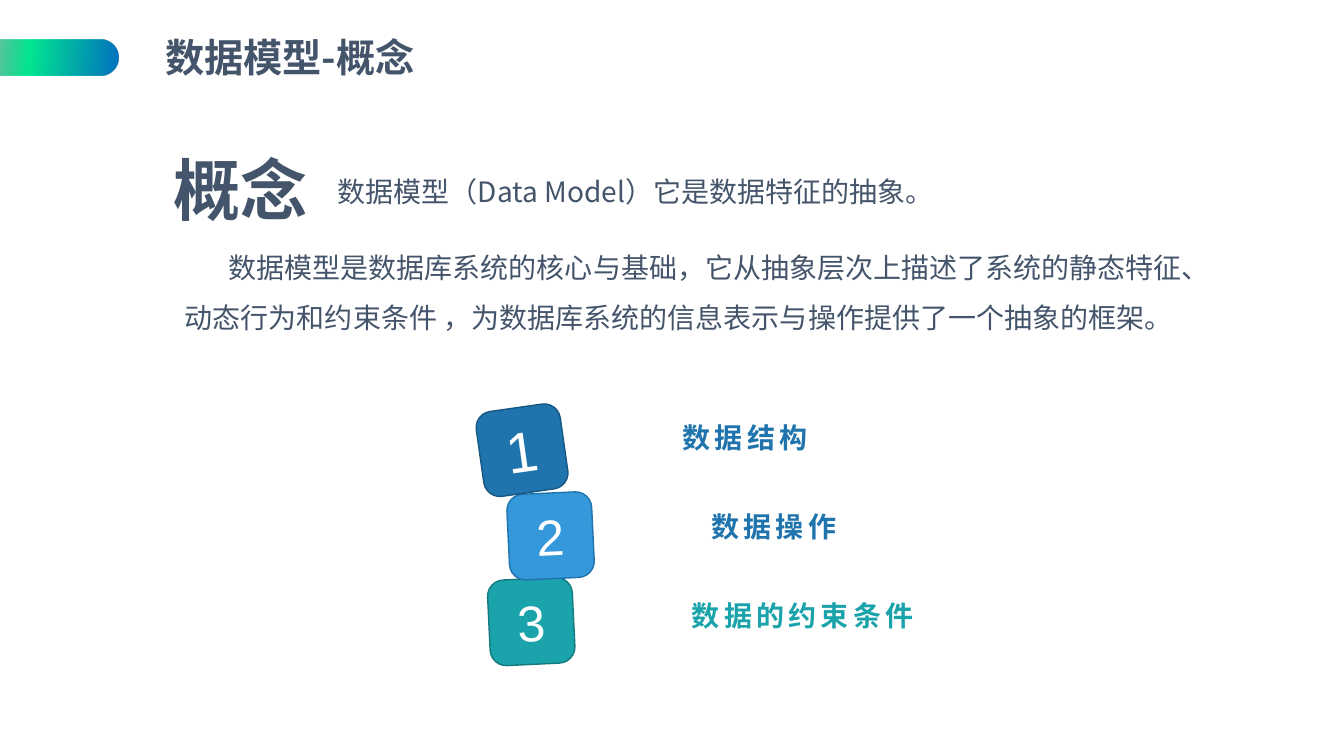
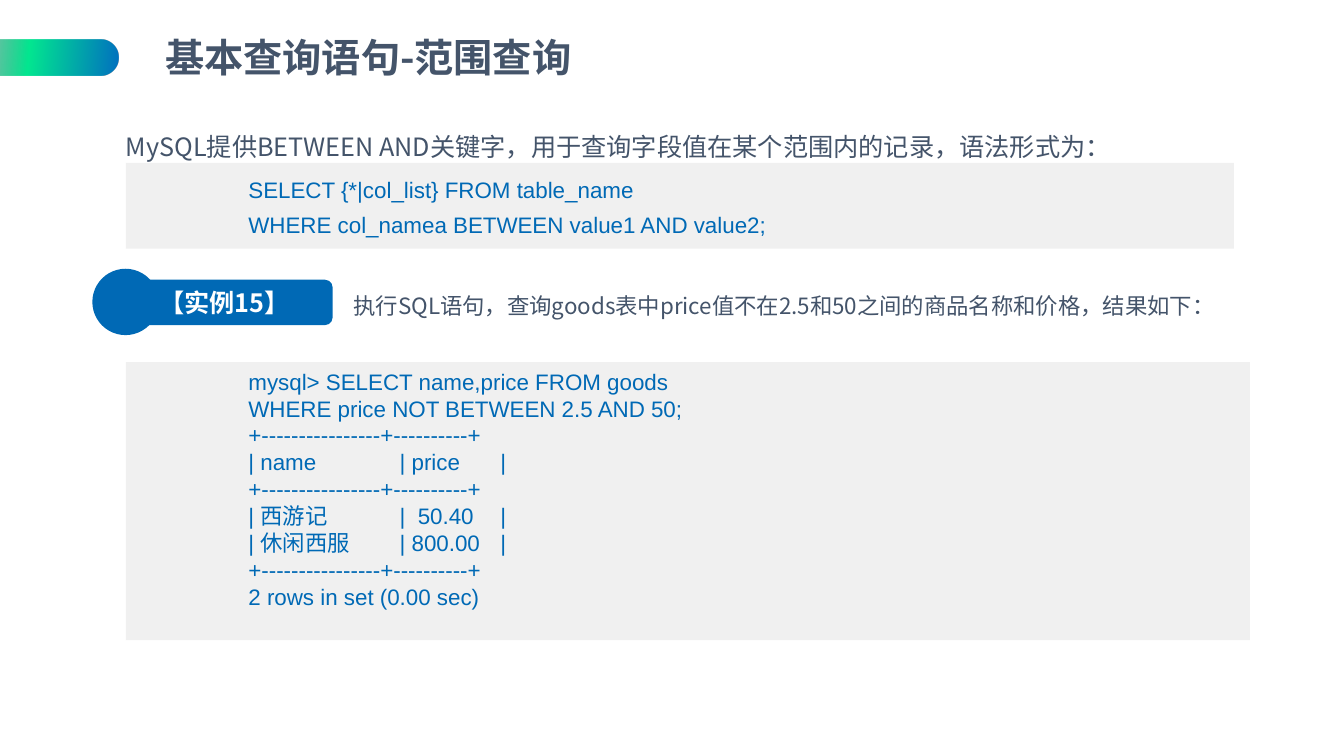
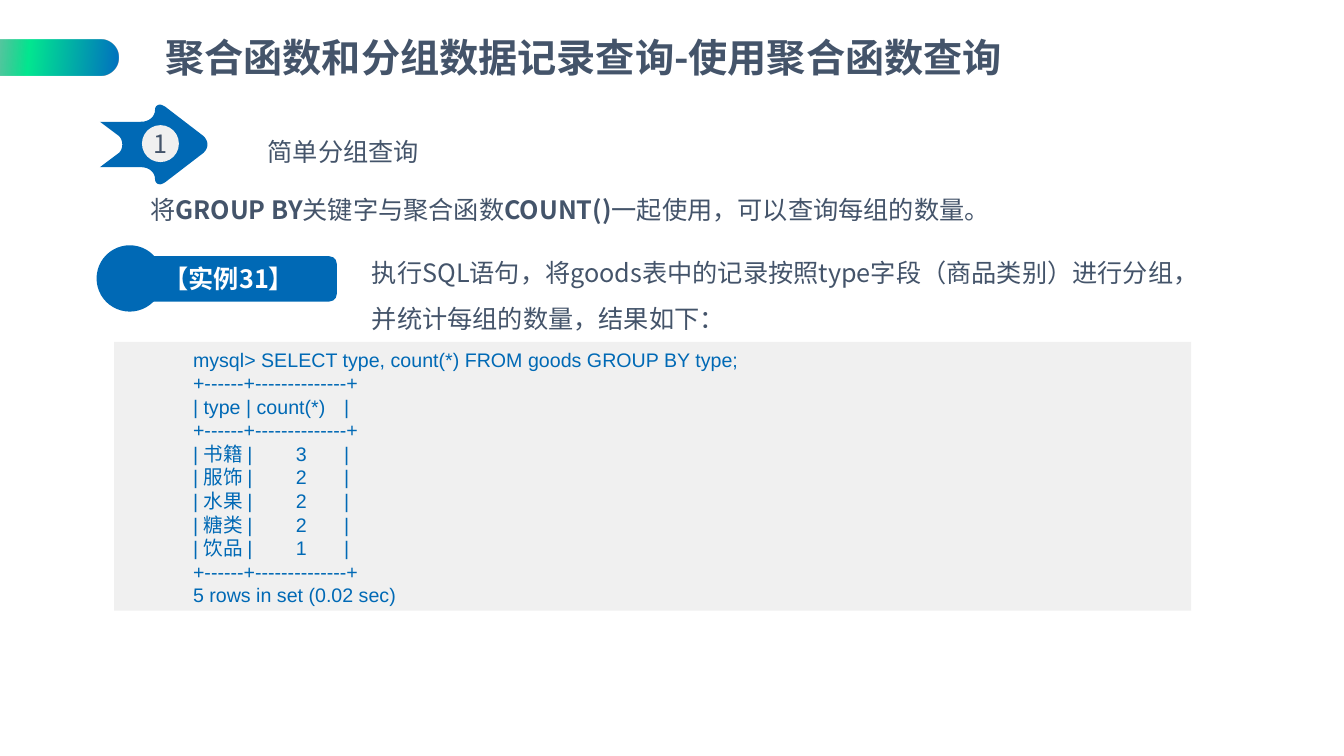
from lxml import etree
from pptx import Presentation
from pptx.dml.color import RGBColor
from pptx.enum.shapes import MSO_SHAPE
from pptx.enum.text import MSO_ANCHOR, MSO_AUTO_SIZE, PP_ALIGN
from pptx.oxml import parse_xml
from pptx.oxml.ns import nsdecls, qn
from pptx.util import Inches, Pt

RECT, ROUND, OVAL = MSO_SHAPE.RECTANGLE, MSO_SHAPE.ROUNDED_RECTANGLE, MSO_SHAPE.OVAL
TOP, MID, LOW = MSO_ANCHOR.TOP, MSO_ANCHOR.MIDDLE, MSO_ANCHOR.BOTTOM
LEFT, CENTER, JUST = PP_ALIGN.LEFT, PP_ALIGN.CENTER, PP_ALIGN.JUSTIFY
FIT, FIXED = MSO_AUTO_SIZE.SHAPE_TO_FIT_TEXT, MSO_AUTO_SIZE.NONE

COLS, ROWS = 160, 90
UNIT = Inches(7.5) / ROWS
SANS, CODE = "Noto Sans CJK SC", "Arial"
INK, BLUE, PALE, WHITE = "44546A", "0069B5", "F0F0F0", "FFFFFF"
PAD = (1.2, 0.6, 1.2, 0.6)
TIGHT = (0, 1, 1.2, 1)
FADE = [(0, "272D3D", 0), (52, "03E790", 100), (100, "0070C0", 100)]

# Upper half of the arrow, from its notch to its tip, around its middle line
NOTCH = (3.06, 0)
HALF = [
    [(3.06, -0.4), (2.9, -0.8), (2.64, -1.02)],
    [(0.4, -2.7)],
    [(5.28, -2.7)],
    [(6.24, -2.7), (6.96, -3.3), (6.96, -4.14)],
    [(6.96, -4.5), (7.2, -4.74), (7.56, -4.74)],
    [(7.7, -4.74), (7.9, -4.65), (8.16, -4.5)],
    [(12.7, -1.02)],
    [(13, -0.75), (13.2, -0.36), (13.2, 0)],
]


def color(code):
    return RGBColor.from_string(code)


def grid(*cells):
    """Turn grid units into slide lengths."""
    return [round(cell * UNIT) for cell in cells]


def trace(start, parts, steps=8):
    """List the points along lines and cubic curves."""
    dots = [start]
    for part in parts:
        if len(part) == 1:
            dots += part
            continue
        ends = [dots[-1]] + part
        for step in range(1, steps + 1):
            t = step / steps
            mix = ((1 - t) ** 3, 3 * t * (1 - t) ** 2, 3 * t * t * (1 - t), t ** 3)
            dots.append(tuple(sum(m * e[axis] for m, e in zip(mix, ends))
                              for axis in (0, 1)))
    return dots


class Deck:
    """Holds the shared style and the current slide."""

    def __init__(self):
        self.prs = Presentation()
        self.prs.slide_width, self.prs.slide_height = grid(COLS, ROWS)

    def page(self, title):
        self.slide = self.prs.slides.add_slide(self.prs.slide_layouts[6])
        self.pill()
        self.text((18.5, 4, 110, 6.2), [title], 28, bold=True, anchor=MID, lead=0.9)

    def pill(self):
        pill = self.shape(ROUND, (-8.2, 4.7, 22.3, 4.3), None, turn=0.5)
        stops = "".join(
            f'<a:gs pos="{pos * 1000}"><a:srgbClr val="{tone}">'
            f'<a:alpha val="{alpha * 1000}"/></a:srgbClr></a:gs>'
            for pos, tone, alpha in FADE)
        fade = parse_xml(f'<a:gradFill {nsdecls("a")} rotWithShape="1"><a:gsLst>{stops}'
                         '</a:gsLst><a:lin ang="300000" scaled="0"/></a:gradFill>')
        props = pill.element.spPr
        props.replace(props.find(qn("a:noFill")), fade)

    def paint(self, shape, fill, line=None):
        shape.shadow.inherit = False
        if fill:
            shape.fill.solid()
            shape.fill.fore_color.rgb = color(fill)
        else:
            shape.fill.background()
        if line:
            shape.line.color.rgb = color(line)
            shape.line.width = Pt(1)
        else:
            shape.line.fill.background()

    def shape(self, kind, box, fill, line=None, turn=None):
        shape = self.slide.shapes.add_shape(kind, *grid(*box))
        if turn is not None:
            shape.adjustments[0] = turn
        self.paint(shape, fill, line)
        return shape

    def put(self, frame, lines, size, tone=INK, font=SANS, bold=False, align=LEFT,
            anchor=TOP, lead=None, pad=PAD, indent=0, gap=0):
        """Fill a frame; in a line given as a list, every second run is bold."""
        frame.word_wrap = True
        frame.vertical_anchor = anchor
        (frame.margin_left, frame.margin_top,
         frame.margin_right, frame.margin_bottom) = grid(*pad)
        for i, line in enumerate(lines):
            para = frame.add_paragraph() if i else frame.paragraphs[0]
            para.alignment = align
            if lead:
                para.line_spacing = lead
            if indent:
                props = para._p.get_or_add_pPr()
                props.set("marL", "0")
                props.set("indent", str(grid(indent)[0]))
            for j, words in enumerate([line] if isinstance(line, str) else line):
                run = para.add_run()
                run.text = words
                run.font.size = Pt(size)
                run.font.bold = bold or j % 2 == 1
                run.font.color.rgb = color(tone)
                run.font.name = font
                props = run._r.get_or_add_rPr()
                etree.SubElement(props, qn("a:ea")).set("typeface", SANS)
                if gap:
                    props.set("spc", str(gap * 100))

    def text(self, box, lines, size, grow=True, **style):
        frame = self.slide.shapes.add_textbox(*grid(*box)).text_frame
        self.put(frame, lines, size, **style)
        frame.auto_size = FIT if grow else FIXED

    def mark(self, shape, words, size, **style):
        """Centre words in a shape."""
        self.put(shape.text_frame, [words], size, align=CENTER, anchor=MID,
                 pad=(0, 0, 0, 0), **style)

    def tile(self, x, y, digit, size, fill, line, angle):
        tile = self.shape(ROUND, (x, y, 10.1, 10.2), fill, line, 0.19)
        tile.rotation = angle
        self.mark(tile, digit, size, tone=WHITE, font=CODE)

    def badge(self, x, y, words):
        self.shape(OVAL, (x, y, 7.9, 7.9), BLUE)
        label = self.shape(ROUND, (x + 2.9, y + 1.3, 25.7, 5.4), BLUE)
        self.mark(label, words, 18, tone=WHITE, bold=True)

    def arrow(self, x, y, digit):
        top = trace(NOTCH, HALF)
        dots = top + [(a, -b) for a, b in reversed(top[1:-1])]
        dots = [grid(x + a, y + b) for a, b in dots]
        form = self.slide.shapes.build_freeform(*dots[0])
        form.add_line_segments(dots[1:], close=True)
        self.paint(form.convert_to_shape(), BLUE)
        self.mark(self.shape(OVAL, (x + 5.4, y - 2.3, 4.4, 4.4), PALE), digit, 18)

    def code(self, panel, box, lines, size, lead=None):
        self.shape(RECT, panel, PALE)
        self.text(box, lines, size, tone=BLUE, font=CODE, lead=lead)


def model(deck):
    deck.page("数据模型-概念")
    deck.text((40.2, 18.6, 103.8, 7.2), ["数据模型（Data Model）它是数据特征的抽象。"], 20,
              anchor=LOW, lead=1.5, pad=TIGHT)
    deck.text((18.5, 16.6, 21.5, 11.6), ["概念"], 48, bold=True, align=CENTER,
              anchor=MID, pad=TIGHT)
    deck.text((22, 27.5, 123.8, 13.3),
              ["数据模型是数据库系统的核心与基础，它从抽象层次上描述了系统的静态特征、"
               "动态行为和约束条件 ，为数据库系统的信息表示与操作提供了一个抽象的框架。"],
              20, anchor=LOW, lead=1.5, pad=TIGHT, indent=5.2)
    tiles = [
        (58.2, "3", 36, "1AA3AA", "147A7F", 357.3, "数据的约束条件", "1AA3AA"),
        (60.5, "2", 36, "3498DB", "1F74AD", 357.3, "数据操作", "1F74AD"),
        (57.1, "1", 40.5, "1F74AD", "175782", 351.9, "数据结构", "1F74AD"),
    ]
    for row, (x, digit, size, fill, line, angle, words, tone) in zip((2, 1, 0), tiles):
        deck.tile(x, 48.5 + 10.2 * row, digit, size, fill, line, angle)
        deck.text((x + 23, 50.4 + 10.6 * row, 46, 3.7), [words], 20, grow=False,
                  tone=tone, bold=True, anchor=LOW, lead=1.2, gap=3,
                  pad=(1.2, 0.6, 1.2, 0))


def between(deck):
    deck.page("基本查询语句-范围查询")
    deck.text((7.8, 13.3, 144.8, 6),
              ["MySQL提供BETWEEN AND关键字，用于查询字段值在某个范围内的记录，语法形式为："],
              18, align=JUST, lead=1.5, indent=6)
    deck.text((40.9, 34.2, 107.9, 4.4),
              ["执行SQL语句，查询goods表中price值不在2.5和50之间的商品名称和价格，结果如下："], 16)
    rule = "+----------------+----------+"
    deck.code((15, 43.1, 133.8, 33.1), (28.4, 43.2, 59.5, 30.2), [
        "mysql> SELECT name,price FROM goods WHERE price NOT BETWEEN 2.5 AND 50;",
        rule,
        "| name\t\t| price\t|",
        rule,
        "| 西游记\t\t|  50.40\t|",
        "| 休闲西服\t| 800.00\t|",
        rule,
        "2 rows in set (0.00 sec)",
    ], 16)
    deck.code((15, 19.4, 131.9, 10.2), (28.4, 19.4, 91.4, 9.2), [
        "SELECT {*|col_list} FROM table_name",
        "WHERE col_namea BETWEEN value1 AND value2;",
    ], 16, lead=Pt(25))
    deck.badge(11, 32, "【实例15】")


def group(deck):
    deck.page("聚合函数和分组数据记录查询-使用聚合函数查询")
    deck.text((24.7, 13.9, 121.7, 6), ["简单分组查询"], 18, align=JUST, lead=1.5, indent=6)
    deck.arrow(11.5, 17.2, "1")
    deck.text((10.7, 22.6, 120, 4.8),
              [["将", "GROUP BY", "关键字与聚合函数", "COUNT()",
                "一起使用，可以查询每组的数量。"]], 18, align=JUST, indent=6)
    deck.badge(11.5, 29.2, "【实例31】")
    deck.text((43.1, 28.3, 102.1, 11.5),
              ["执行SQL语句，将goods表中的记录按照type字段（商品类别）进行分组，"
               "并统计每组的数量，结果如下："], 18, lead=1.5)
    rule = "+------+--------------+"
    kinds = [("书籍", 3), ("服饰", 2), ("水果", 2), ("糖类", 2), ("饮品", 1)]
    deck.code((13.6, 40.7, 128.2, 32), (21.8, 40.8, 100, 32.3), [
        "mysql> SELECT type, count(*) FROM goods GROUP BY type;",
        rule,
        "| type | count(*)\t|",
        rule,
        *[f"| {kind} |        {count}\t|" for kind, count in kinds],
        rule,
        "5 rows in set (0.02 sec)",
    ], 14)


def main():
    deck = Deck()
    for build in (model, between, group):
        build(deck)
    deck.prs.save("out.pptx")


if __name__ == "__main__":
    main()
